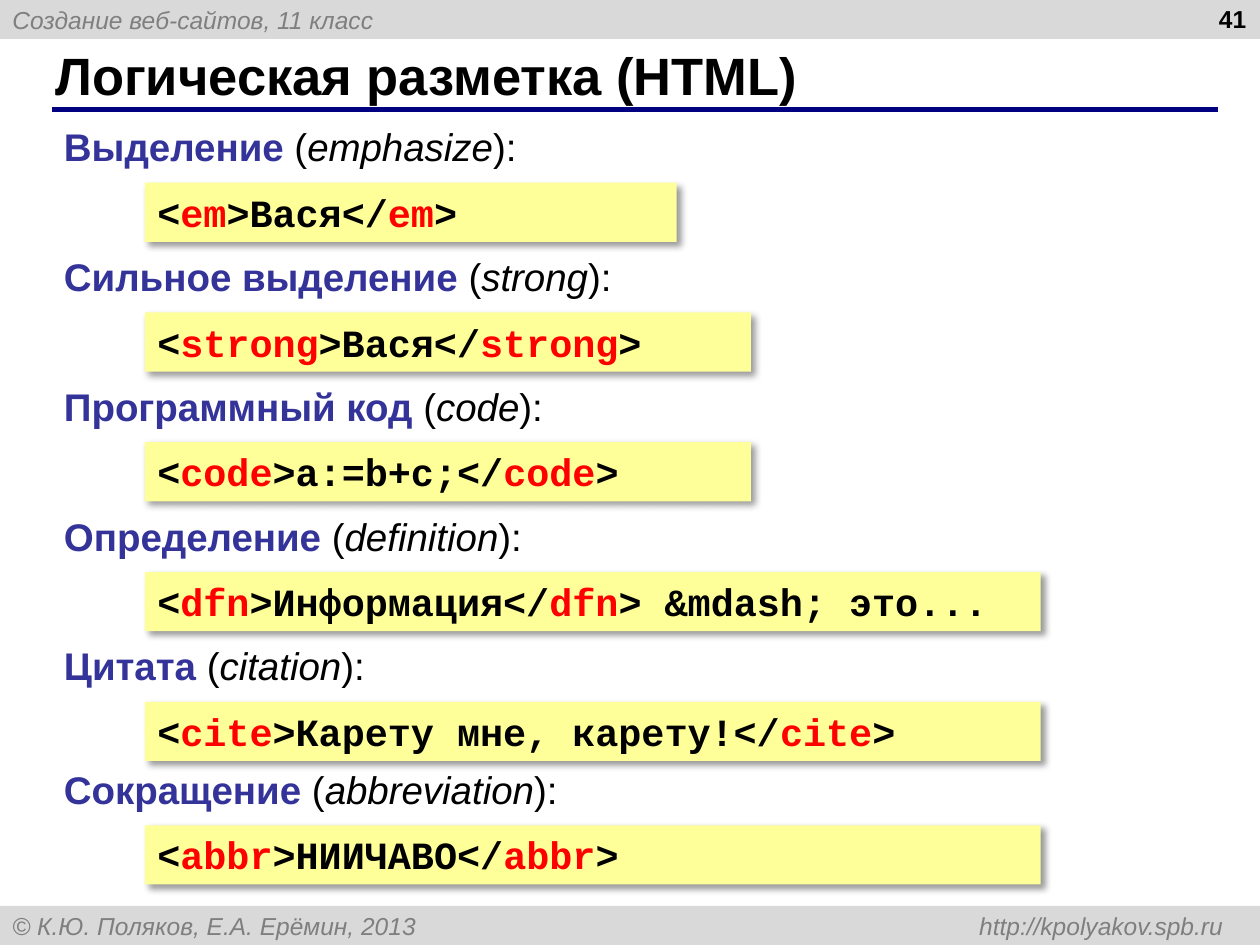
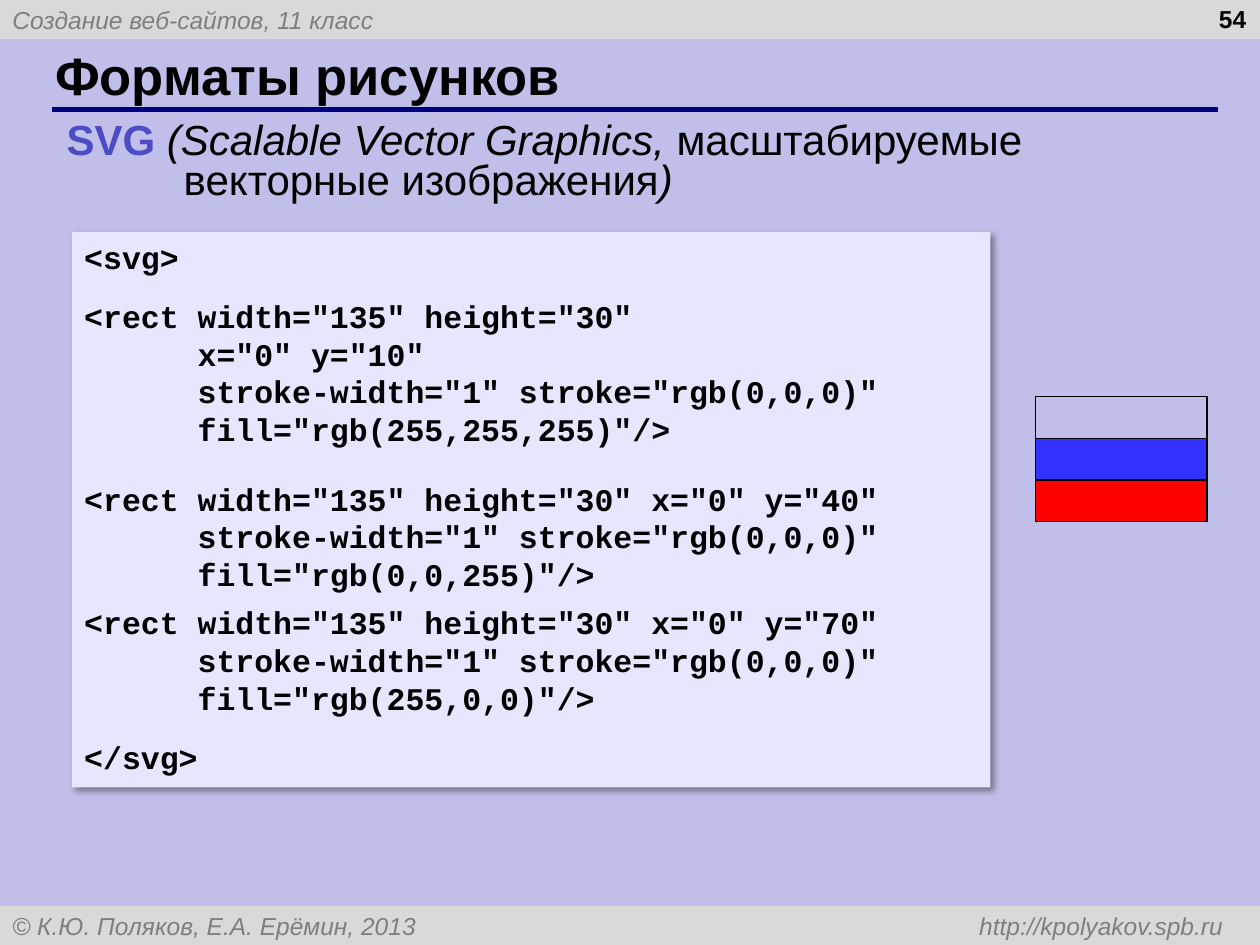
from lxml import etree
from pptx import Presentation
from pptx.dml.color import RGBColor
from pptx.enum.shapes import MSO_CONNECTOR, MSO_SHAPE
from pptx.enum.text import MSO_ANCHOR, PP_ALIGN
from pptx.oxml.ns import qn
from pptx.util import Inches, Pt

RECTANGLE = MSO_SHAPE.RECTANGLE
STRAIGHT = MSO_CONNECTOR.STRAIGHT
TOP, MIDDLE = MSO_ANCHOR.TOP, MSO_ANCHOR.MIDDLE
LEFT, RIGHT = PP_ALIGN.LEFT, PP_ALIGN.RIGHT

COLORS = {
    "white": "FFFFFF", "lilac": "BFBFEA", "band": "D9D9D9", "muted": "7F7F7F",
    "text": "000000", "rule": "000080", "term": "333399", "format": "4C4CC4",
    "html": "FFFF99", "svg": "E6E6FF", "red": "FF0000", "blue": "3333FF",
}
SANS, MONO = "Arial", "Courier New"
PAGE_WIDTH, PAGE_HEIGHT, BAND_HEIGHT = 10, 7.5, 0.31

# term, English word, tag, marked text, text after the closing tag, code box width
LOGICAL_TAGS = [
    ("Выделение", "emphasize", "em", "Вася", "", 4.22),
    ("Сильное выделение", "strong", "strong", "Вася", "", 4.81),
    ("Программный код", "code", "code", "a:=b+c;", "", 4.81),
    ("Определение", "definition", "dfn", "Информация", " &mdash; это...", 7.11),
    ("Цитата", "citation", "cite", "Карету мне, карету!", "", 7.11),
    ("Сокращение", "abbreviation", "abbr", "НИИЧАВО", "", 7.11),
]

# space before in points, code line
SVG_CODE = [
    (0, '<svg>'),
    (12, '<rect width="135" height="30"'),
    (0, '      x="0" y="10"'),
    (0, '      stroke-width="1" stroke="rgb(0,0,0)"'),
    (0, '      fill="rgb(255,255,255)"/>'),
    (18, '<rect width="135" height="30" x="0" y="40"'),
    (0, '      stroke-width="1" stroke="rgb(0,0,0)"'),
    (0, '      fill="rgb(0,0,255)"/>'),
    (6, '<rect width="135" height="30" x="0" y="70"'),
    (0, '      stroke-width="1" stroke="rgb(0,0,0)"'),
    (0, '      fill="rgb(255,0,0)"/>'),
    (12, '</svg>'),
]


def rgb(name):
    return RGBColor.from_string(COLORS[name])


def add_span(para, text, size, color="text", font=SANS, bold=False, italic=False):
    span = para.add_run()
    span.text = text
    span.font.name, span.font.size = font, Pt(size)
    span.font.bold, span.font.italic = bold, italic
    span.font.color.rgb = rgb(color)


def first_paragraph(box, anchor=TOP, align=LEFT):
    frame = box.text_frame
    frame.word_wrap = True
    frame.vertical_anchor = anchor
    para = frame.paragraphs[0]
    para.alignment = align
    return para


def add_text_box(page, left, top, width, height, anchor=TOP, align=LEFT):
    """Add an empty text box and return its first paragraph."""
    box = page.shapes.add_textbox(
        Inches(left), Inches(top), Inches(width), Inches(height))
    return first_paragraph(box, anchor, align)


def add_rectangle(page, left, top, width, height, fill=None, line=None):
    box = page.shapes.add_shape(
        RECTANGLE, Inches(left), Inches(top), Inches(width), Inches(height))
    box.shadow.inherit = False
    if fill:
        box.fill.solid()
        box.fill.fore_color.rgb = rgb(fill)
    else:
        box.fill.background()
    if line:
        box.line.color.rgb = rgb(line)
        box.line.width = Pt(0.75)
    else:
        box.line.fill.background()
    return box


def add_code_box(page, left, top, width, height, fill):
    """Add a filled box with a soft shadow to the lower right."""
    box = add_rectangle(page, left, top, width, height, fill)
    effects = box._element.spPr.find(qn("a:effectLst"))
    shadow = etree.SubElement(
        effects, qn("a:outerShdw"), blurRad=str(Pt(4)), dist=str(Pt(3)),
        dir=str(45 * 60000), algn="tl", rotWithShape="0")
    color = etree.SubElement(shadow, qn("a:srgbClr"), val=COLORS["text"])
    etree.SubElement(color, qn("a:alpha"), val="40000")
    return box


def add_band(page, top, text):
    band = add_rectangle(page, 0, top, PAGE_WIDTH, BAND_HEIGHT, "band")
    para = first_paragraph(band, MIDDLE)
    tabs = etree.SubElement(para._p.get_or_add_pPr(), qn("a:tabLst"))
    etree.SubElement(tabs, qn("a:tab"), pos=str(Inches(9.61)), algn="r")
    add_span(para, text, 14, "muted", italic=True)


def add_page(deck, title, number, background):
    """Add a slide with the bands, title, rule and page number."""
    page = deck.slides.add_slide(deck.slide_layouts[6])
    page.background.fill.solid()
    page.background.fill.fore_color.rgb = rgb(background)
    add_band(page, 0, "Создание веб-сайтов, 11 класс")
    add_band(page, PAGE_HEIGHT - BAND_HEIGHT,
             "© К.Ю. Поляков, Е.А. Ерёмин, 2013\thttp://kpolyakov.spb.ru")
    rule = page.shapes.add_connector(
        STRAIGHT, Inches(0.41), Inches(0.87), Inches(9.67), Inches(0.87))
    rule.line.color.rgb = rgb("rule")
    rule.line.width = Pt(3)
    etree.SubElement(rule._element.spPr, qn("a:effectLst"))
    add_span(add_text_box(page, 0.34, 0.33, 9.16, 0.52, MIDDLE),
             title, 30, bold=True)
    add_span(add_text_box(page, 7.66, -0.02, 2.33, 0.52, align=RIGHT),
             str(number), 14, bold=True)
    return page


def add_tag_example(page, left, top, term, english, tag, content, tail, width):
    """Add a term with its English word, and the code box below it."""
    label = add_text_box(page, left, top, 4.6, 0.47)
    add_span(label, term, 22, "term", bold=True)
    add_span(label, " (", 22)
    add_span(label, english, 22, italic=True)
    add_span(label, "):", 22)
    code = first_paragraph(
        add_code_box(page, left + 0.74, top + 0.52, width, 0.47, "html"))
    for text, color in [("<", "text"), (tag, "red"), (f">{content}</", "text"),
                        (tag, "red"), (f">{tail}", "text")]:
        add_span(code, text, 22, color, MONO, bold=True)


def add_format_heading(page, left, top, width):
    para = add_text_box(page, left, top, width, 0.75)
    para.line_spacing = 0.8
    properties = para._p.get_or_add_pPr()
    properties.set("marL", str(Inches(0.93)))
    properties.set("indent", str(-Inches(0.93)))
    add_span(para, "SVG ", 24, "format", bold=True)
    add_span(para, "(Scalable Vector Graphics, ", 24, italic=True)
    add_span(para, "масштабируемые векторные изображения", 24)
    add_span(para, ")", 24, italic=True)


def add_svg_listing(page, left, top, width, height):
    box = add_code_box(page, left, top, width, height, "svg")
    para = first_paragraph(box)
    for index, (space, text) in enumerate(SVG_CODE):
        if index:
            para = box.text_frame.add_paragraph()
            para.alignment = LEFT
            para.space_before = Pt(space)
        add_span(para, text, 18, font=MONO, bold=True)


def add_flag(page, left, top, width, stripe_height):
    for index, fill in enumerate([None, "blue", "red"]):
        add_rectangle(page, left, top + index * stripe_height,
                      width, stripe_height, fill, "text")


def add_markup_page(deck):
    page = add_page(deck, "Логическая разметка (HTML)", 41, "white")
    for index, example in enumerate(LOGICAL_TAGS):
        top = min(0.93 + index * 1.03, 6.03)
        add_tag_example(page, 0.41, top, *example)


def add_formats_page(deck):
    page = add_page(deck, "Форматы рисунков", 54, "lilac")
    add_format_heading(page, 0.43, 0.93, 9.22)
    add_svg_listing(page, 0.57, 1.84, 7.29, 4.41)
    add_flag(page, 8.22, 3.15, 1.36, 0.33)


def main():
    deck = Presentation()
    deck.slide_width, deck.slide_height = Inches(PAGE_WIDTH), Inches(PAGE_HEIGHT)
    add_markup_page(deck)
    add_formats_page(deck)
    deck.save("out.pptx")


if __name__ == "__main__":
    main()
